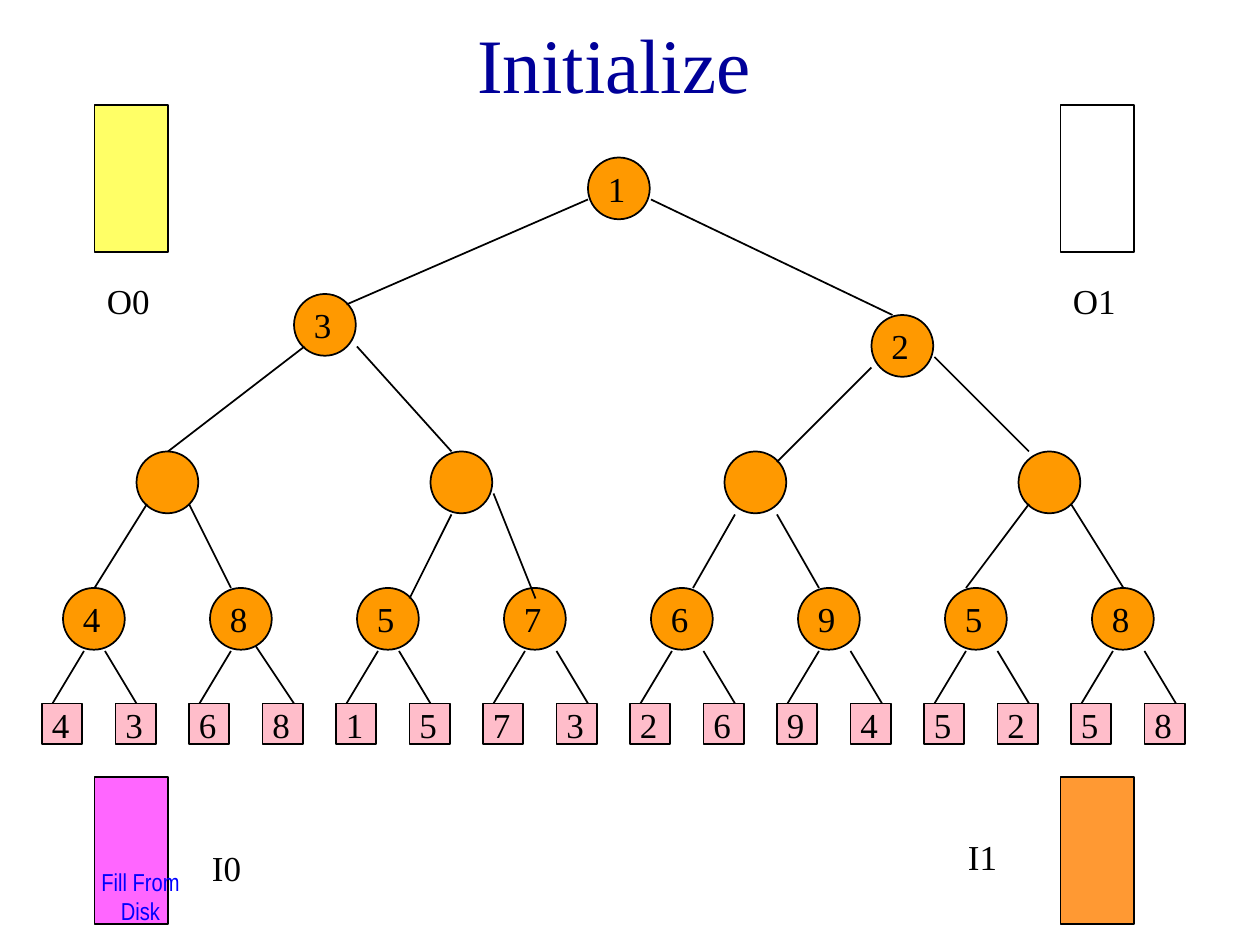
from dataclasses import dataclass
from typing import NamedTuple

from lxml import etree
from pptx import Presentation, util as u
from pptx.dml.color import RGBColor
from pptx.enum import shapes, text
from pptx.oxml.ns import qn


@dataclass(frozen=True)
class Theme:
    serif: str = "Times New Roman"
    narrow: str = "Arial Narrow"
    title_size: int = 44
    label_size: int = 20
    note_size: int = 14
    title: str = "000099"
    ink: str = "000000"
    note: str = "0000FF"
    node: str = "FF9900"
    leaf: str = "FFBDCA"


class Node(NamedTuple):
    column: int
    row: int
    label: str = ""


class Edge(NamedTuple):
    start: tuple[int, int]
    end: tuple[int, int]


class Buffer(NamedTuple):
    column: int
    row: int
    fill: str
    label: str
    label_column: int
    label_row: int


THEME = Theme()
CELL = 1 / 12  # the slide is a grid of 120 columns by 90 rows
NODE_SIZE, LEAF_SIZE = 0.49, 0.32
LABEL_WIDTH, LABEL_HEIGHT = 0.34, 0.43
MATCH_STEP, LEAF_STEP = 14, 7

# Tree contents, from the root down
upper_nodes = [Node(56, 15, "1"), Node(28, 28, "3"), Node(83, 30, "2")]
middle_nodes = [Node(13 + 2 * MATCH_STEP * i, 43) for i in range(4)]
lower_nodes = [Node(6 + MATCH_STEP * i, 56, label) for i, label in enumerate("48576958")]
leaves = [Node(4 + LEAF_STEP * i, 67, label) for i, label in enumerate("4368157326945258")]

edges = [
    Edge((56, 19), (33, 29)), Edge((62, 19), (85, 30)),
    Edge((29, 33), (16, 43)), Edge((34, 33), (43, 43)),
    Edge((83, 35), (74, 44)), Edge((89, 34), (98, 43)),
    Edge((14, 48), (9, 56)), Edge((18, 48), (22, 56)),
    Edge((43, 49), (39, 57)), Edge((47, 47), (51, 57)),
    Edge((70, 49), (66, 56)), Edge((74, 49), (78, 56)),
    Edge((98, 48), (92, 56)), Edge((102, 48), (107, 56)),
]
for match in range(8):
    left = MATCH_STEP * match
    right = left + (10 if match < 3 else 11)
    edges.append(Edge((left + 8, 62), (left + 5, 67)))
    # The second match has a steeper right branch, tucked under its node
    edges.append(Edge((right, 61), (right + 4, 67)) if match == 1
                 else Edge((right, 62), (right + 3, 67)))

buffers = [
    Buffer(9, 10, "FFFF66", "O0", 9, 26),
    Buffer(101, 10, "FFFFFF", "O1", 101, 26),
    Buffer(9, 74, "FF66FF", "I0", 19, 80),
    Buffer(101, 74, "FF9933", "I1", 91, 79),
]


def add_run(paragraph, words: str, font: str, size: int, color: str) -> None:
    run = paragraph.add_run()
    run.text = words
    run.font.name = font
    run.font.size = u.Pt(size)
    run.font.color.rgb = RGBColor.from_string(color)


def add_box(parent, kind, left: float, top: float, width: float, height: float,
            fill: str) -> None:
    shape = parent.add_shape(kind, *map(u.Inches, (left, top, width, height)))
    shape.shadow.inherit = False
    shape.fill.solid()
    shape.fill.fore_color.rgb = RGBColor.from_string(fill)
    shape.line.color.rgb = RGBColor.from_string(THEME.ink)
    shape.line.width = u.Pt(1)


def add_label(parent, words: str, left: float, top: float, width: float = LABEL_WIDTH,
              height: float = LABEL_HEIGHT, font: str = THEME.serif,
              size: int = THEME.label_size, color: str = THEME.ink,
              align=text.PP_ALIGN.LEFT) -> None:
    box = parent.add_textbox(*map(u.Inches, (left, top, width, height)))
    box.text_frame.word_wrap = True
    paragraph = box.text_frame.paragraphs[0]
    paragraph.alignment = align
    add_run(paragraph, words, font, size, color)


def add_node(parent, node: Node) -> None:
    add_box(parent, shapes.MSO_SHAPE.OVAL, node.column * CELL, node.row * CELL,
            NODE_SIZE, NODE_SIZE, THEME.node)


def add_edge(parent, edge: Edge) -> None:
    ends = [u.Inches(cell * CELL) for cell in (*edge.start, *edge.end)]
    line = parent.add_connector(shapes.MSO_CONNECTOR.STRAIGHT, *ends)
    line.line.color.rgb = RGBColor.from_string(THEME.ink)
    line.line.width = u.Pt(1)
    etree.SubElement(line._element.spPr, qn("a:effectLst"))


def add_buffer(parent, buffer: Buffer) -> None:
    group = parent.add_group_shape().shapes
    add_box(group, shapes.MSO_SHAPE.RECTANGLE, buffer.column * CELL, buffer.row * CELL,
            7 * CELL, 14 * CELL, buffer.fill)
    add_label(group, buffer.label, buffer.label_column * CELL, buffer.label_row * CELL,
              7 * CELL)


def main() -> None:
    presentation = Presentation()
    presentation.slide_width, presentation.slide_height = u.Inches(10), u.Inches(7.5)
    slide = presentation.slides.add_slide(presentation.slide_layouts[5])
    canvas = slide.shapes

    # Title
    title = canvas.title
    title.left, title.top = u.Inches(0), u.Inches(0)
    title.width, title.height = u.Inches(9.75), u.Inches(1)
    title.text_frame.vertical_anchor = text.MSO_ANCHOR.MIDDLE
    paragraph = title.text_frame.paragraphs[0]
    paragraph.alignment = text.PP_ALIGN.CENTER
    add_run(paragraph, "Initialize", THEME.serif, THEME.title_size, THEME.title)

    # Tree: the node of the second match lies above its branches
    for leaf in leaves:
        add_box(canvas, shapes.MSO_SHAPE.RECTANGLE, leaf.column * CELL, leaf.row * CELL,
                LEAF_SIZE, LEAF_SIZE, THEME.leaf)
    front_node = lower_nodes[1]
    nodes = lower_nodes + middle_nodes + upper_nodes
    for node in nodes:
        if node != front_node:
            add_node(canvas, node)
    for edge in edges:
        add_edge(canvas, edge)
    add_node(canvas, front_node)

    # Numbers in the leaves and nodes
    for leaf in leaves:
        add_label(canvas, leaf.label, leaf.column * CELL - 0.02, leaf.row * CELL - 0.05)
    for node in nodes:
        if node.label:
            add_label(canvas, node.label, node.column * CELL + 0.06, node.row * CELL + 0.03)

    # Input and output buffers
    for buffer in buffers:
        add_buffer(canvas, buffer)
    add_label(canvas, "Fill From Disk", 0.67, 6.83, 0.89, 0.42, THEME.narrow,
              THEME.note_size, THEME.note, text.PP_ALIGN.CENTER)

    presentation.save("out.pptx")


if __name__ == "__main__":
    main()
